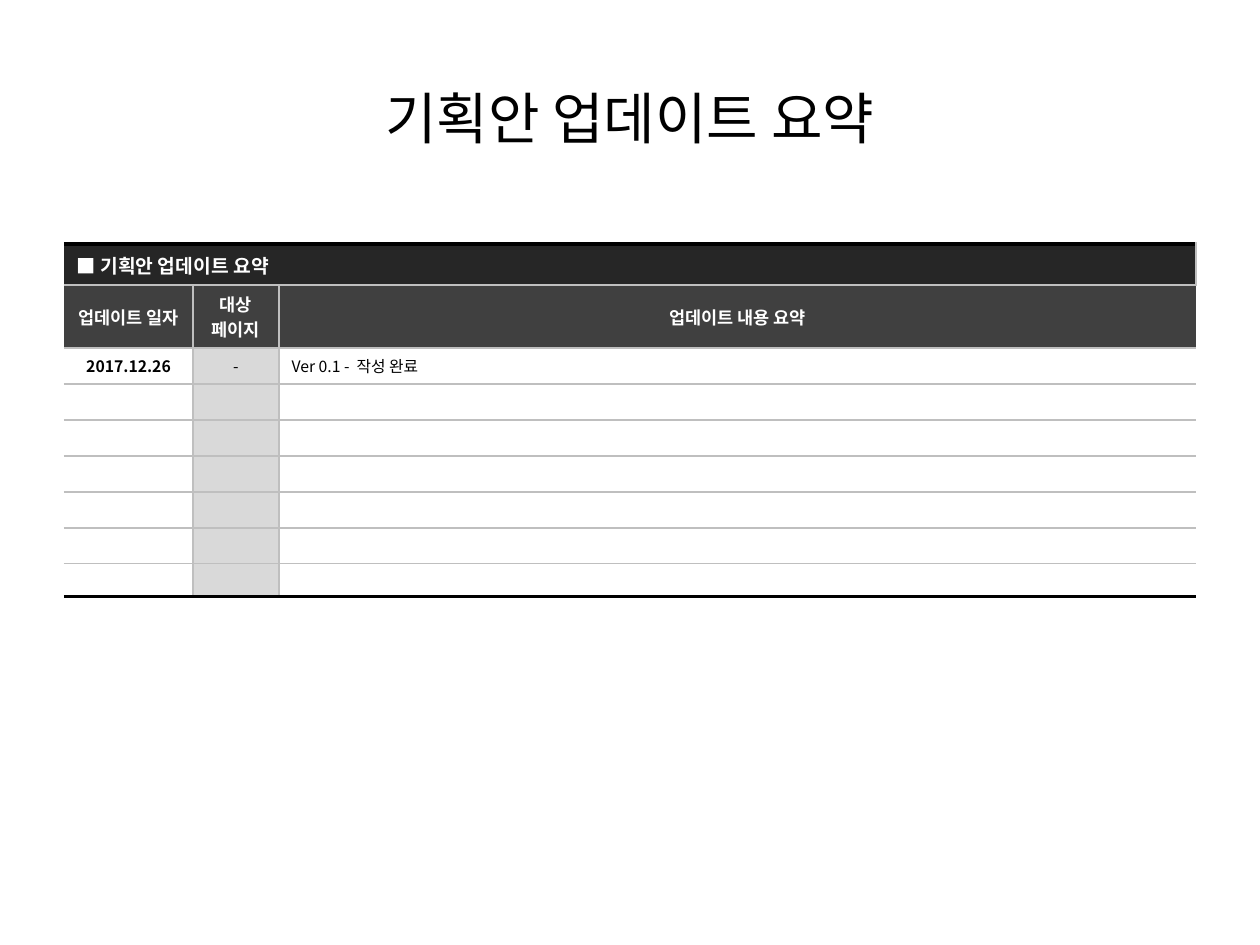
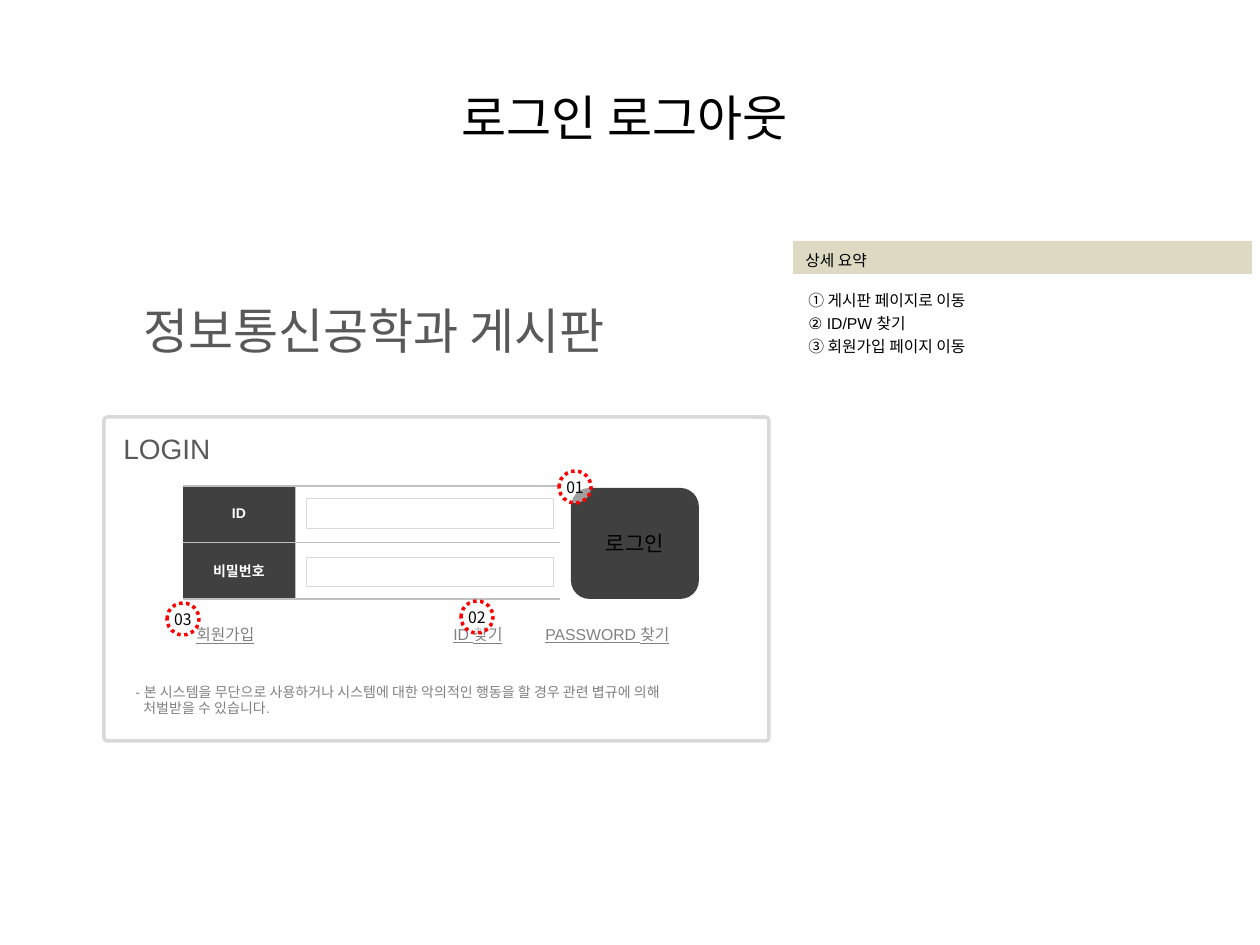
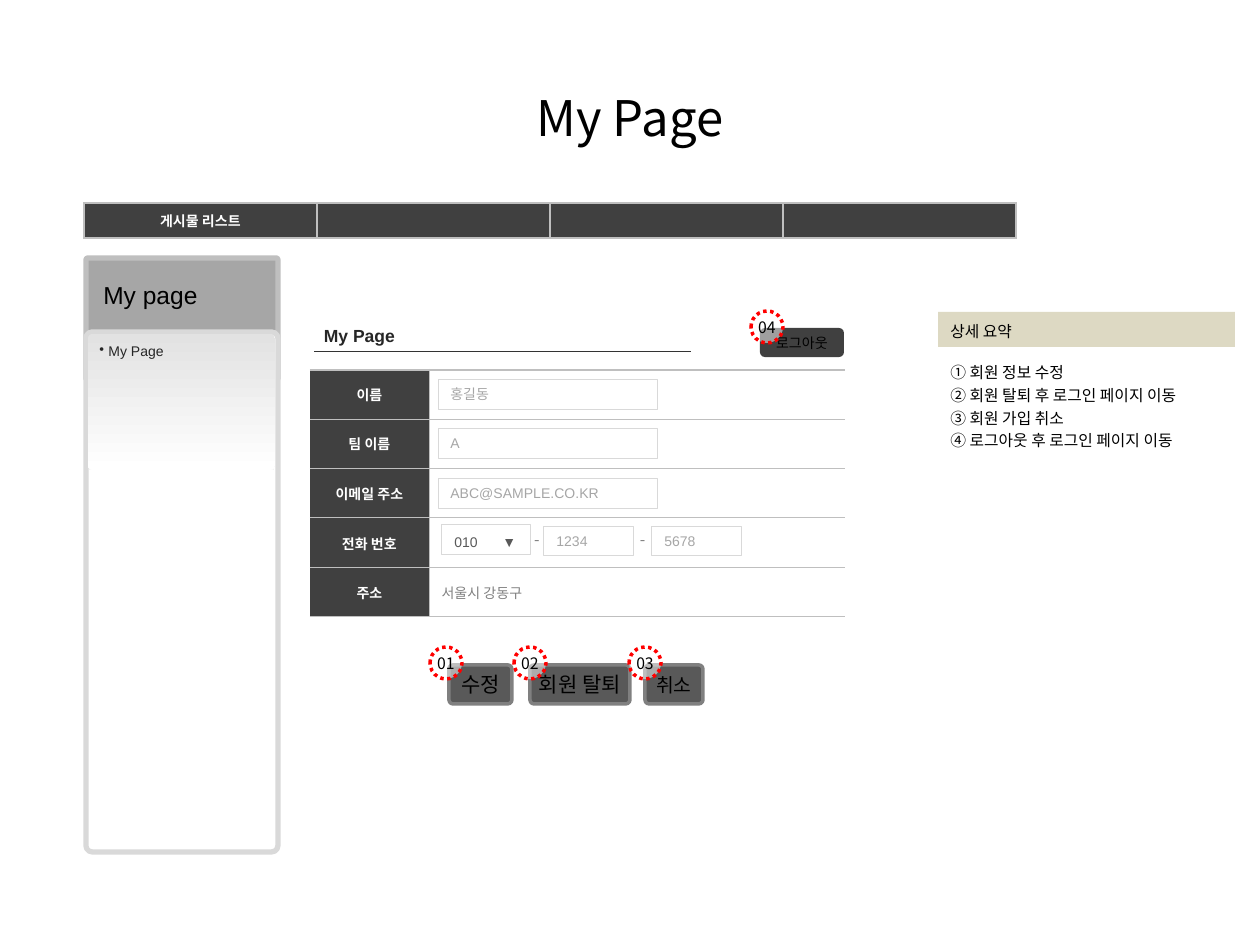
import dataclasses
import pptx
import pptx.util
import pptx.dml.color
import pptx.enum.dml
import pptx.enum.shapes
import pptx.enum.text
import pptx.oxml.ns
from lxml import etree


@dataclasses.dataclass(frozen=True)
class Theme:
    sans: str = "Arial"
    hangul: str = "Noto Sans CJK KR"
    black: str = "000000"
    white: str = "FFFFFF"
    ink: str = "262626"
    dark: str = "404040"
    slate: str = "595959"
    mid: str = "808080"
    hint: str = "A6A6A6"
    rule: str = "BFBFBF"
    pale: str = "D9D9D9"
    fade: str = "E2E2E2"
    sand: str = "DDD9C3"
    red: str = "FF0000"
    cover: int = 32
    title: int = 28
    lead: int = 16
    sub: int = 14
    button: int = 12
    band: int = 11
    head: int = 10
    body: int = 9
    small: int = 8


T = Theme()
PX = 914400 // 126
Pt = pptx.util.Pt
RGB = pptx.dml.color.RGBColor.from_string
qn = pptx.oxml.ns.qn
ALIGN = pptx.enum.text.PP_ALIGN
ANCHOR = pptx.enum.text.MSO_ANCHOR
RECT = pptx.enum.shapes.MSO_SHAPE.RECTANGLE
ROUND = pptx.enum.shapes.MSO_SHAPE.ROUNDED_RECTANGLE
OVAL = pptx.enum.shapes.MSO_SHAPE.OVAL


def write(frame, text, size=T.body, color=T.black, font=T.sans, bold=False,
          center=False, space=None):
    frame.text = text
    for para in frame.paragraphs:
        para.alignment = ALIGN.CENTER if center else ALIGN.LEFT
        para.line_spacing = space
        para.font.size = Pt(size)
        para.font.name = font
        para.font.bold = bold
        para.font.color.rgb = RGB(color)
        if not text:
            para._p.get_or_add_endParaRPr().set("sz", str(size * 100))


def put(slide, kind, box, text="", fill=None, line=None, adj=None,
        middle=False, wrap=True, **style):
    place = [n * PX for n in box]
    if kind is None:
        shape = slide.shapes.add_textbox(*place)
    else:
        shape = slide.shapes.add_shape(kind, *place)
        shape.shadow.inherit = False
        shape.fill.solid()
        shape.fill.fore_color.rgb = RGB(fill)
        if line:
            shape.line.color.rgb = RGB(line[0])
            shape.line.width = Pt(line[1])
        else:
            shape.line.fill.background()
        if adj is not None:
            shape.adjustments[0] = adj
    frame = shape.text_frame
    frame.word_wrap = wrap
    frame.vertical_anchor = ANCHOR.MIDDLE if middle else ANCHOR.TOP
    if text:
        write(frame, text, **style)
    return shape


deck = pptx.Presentation()
deck.slide_width = 1260 * PX
deck.slide_height = 945 * PX

slides = []
for name, size in [("기획안 업데이트 요약", T.cover), ("로그인 로그아웃 ", T.title),
                   ("My Page", T.title)]:
    slide = deck.slides.add_slide(deck.slide_layouts[6])
    put(slide, None, (63, 38, 1134, 158), name, middle=True, size=size,
        font=T.hangul, center=True)
    slides.append(slide)
log, login, page = slides

put(login, ROUND, (104, 417, 665, 324), fill=T.white, line=(T.pale, 2), adj=0.011)

top = dict(size=T.band, color=T.white, font=T.hangul, bold=True)
head = dict(size=T.head, color=T.white, font=T.hangul, bold=True, center=True)
label = dict(size=T.small, color=T.white, bold=True, center=True)
menu = dict(label, font=T.hangul)
note = dict(font=T.hangul)
blank = ("", None, {})
thin, fine, thick, heavy = (T.rule, 0.5), (T.rule, 1), (T.rule, 1.5), (T.black, 2.25)

history = [
    [("■ 기획안 업데이트 요약", T.ink, top), ("", T.ink, {}), ("", T.ink, {})],
    [(text, T.dark, head) for text in ("업데이트 일자", "대상 페이지", "업데이트 내용 요약")],
    [("2017.12.26", None, dict(note, bold=True, center=True)),
     ("-", T.pale, dict(note, center=True)), ("Ver 0.1 -  작성 완료", None, note)],
] + [[blank, ("", T.pale, {}), blank]] * 6
access = [[(text, T.dark, label), ("", T.white, {})] for text in ("ID", "비밀번호")]
member = [[(text, T.dark, label), ("", T.white, {})]
          for text in ("이름", "팀 이름", "이메일 주소", "전화 번호")]
member.append([("주소", T.dark, label),
               ("서울시 강동구", T.white, dict(size=T.small, color=T.mid))])
caption = [[("My Page", None, dict(size=T.head, color=T.ink, bold=True))]]
tabs = [[(text, T.dark, menu) for text in ("게시물 리스트", "", "", "")]]

grids = [
    (log, 64, 244, [129, 86, 917], [41, 63] + [36] * 6 + [33], history,
     dict(t=heavy, b=heavy, h=fine, v=fine)),
    (login, 183, 486, [112, 265], [56, 57], access,
     dict(t=thick, b=thick, h=thin, v=thin)),
    (page, 310, 370, [119, 416], [49, 49, 50, 50, 49], member,
     dict(t=thick, b=thin, h=thin, v=thin)),
    (page, 314, 320, [377], [31], caption, dict(b=("333333", 0.5))),
    (page, 84, 203, [233] * 4, [35], tabs,
     dict(l=fine, t=fine, r=fine, b=fine, v=fine)),
]
for slide, x, y, cols, rows, cells, rules in grids:
    table = slide.shapes.add_table(len(rows), len(cols), x * PX, y * PX,
                                   sum(cols) * PX, sum(rows) * PX).table
    table.first_row = table.horz_banding = False
    for c, width in enumerate(cols):
        table.columns[c].width = width * PX
    for r, height in enumerate(rows):
        table.rows[r].height = height * PX
        for c, (text, fill, style) in enumerate(cells[r]):
            cell = table.cell(r, c)
            cell.vertical_anchor = ANCHOR.MIDDLE
            write(cell.text_frame, text, **style)
            if fill:
                cell.fill.solid()
                cell.fill.fore_color.rgb = RGB(fill)
            else:
                cell.fill.background()
            if cells is caption:
                cell.vertical_anchor = ANCHOR.BOTTOM
                cell.margin_left = cell.margin_right = 10 * PX
                cell.margin_top = cell.margin_bottom = 5 * PX
            edges = [("L", "v" if c else "l"),
                     ("R", "v" if c < len(cols) - 1 else "r"),
                     ("T", "h" if r else "t"),
                     ("B", "h" if r < len(rows) - 1 else "b")]
            for n, (side, key) in enumerate(edges):
                edge = etree.Element(qn("a:ln" + side))
                if key in rules:
                    color, width = rules[key]
                    edge.set("w", str(Pt(width)))
                    paint = etree.SubElement(edge, qn("a:solidFill"))
                    etree.SubElement(paint, qn("a:srgbClr"), val=color)
                else:
                    etree.SubElement(edge, qn("a:noFill"))
                cell._tc.get_or_add_tcPr().insert(n, edge)
    if cells is history:
        table.cell(0, 0).merge(table.cell(0, 2))

put(login, None, (111, 425, 113, 46), "LOGIN", wrap=False, size=T.lead, color=T.slate)
put(login, None, (131, 294, 538, 72), "정보통신공학과 게시판", wrap=False,
    size=T.title, color=T.slate)
put(login, ROUND, (571, 488, 128, 111), "로그인", fill=T.dark, middle=True,
    wrap=False, size=T.button, font=T.hangul, center=True)

warn = put(login, None, (123, 677, 620, 63),
           "- 본 시스템을 무단으로 사용하거나 시스템에 대한 악의적인 행동을 할 경우 관련 볍규에 의해\n처벌받을 수 있습니다.",
           size=T.small, color=T.mid)
warn.text_frame.paragraphs[1]._p.get_or_add_pPr().set("marL", str(8 * PX))

links = put(login, None, (184, 619, 515, 34), "회원가입", color=T.mid)
line = links.text_frame.paragraphs[0]
line.runs[0].font.underline = True
for text in ("ID 찾기", "PASSWORD 찾기"):
    line.add_run().text = "\t"
    run = line.add_run()
    run.text = text
    run.font.underline = True

for x, y, w in [(306, 498, 248), (306, 557, 248), (441, 524, 90)]:
    put(page if w == 90 else login, RECT, (x, y, w, 30), fill=T.white,
        line=(T.pale, 0.5))
for x, y, w, text in [(438, 379, 220, "홍길동"), (438, 428, 220, "A"),
                      (438, 478, 220, "ABC@SAMPLE.CO.KR"),
                      (544, 526, 90, "1234"), (652, 526, 90, "5678")]:
    put(page, RECT, (x, y, w, 30), text, fill=T.white, line=(T.pale, 0.5),
        middle=True, size=T.small, color=T.hint)
for x in (534, 640):
    dash = put(page, None, (x, 530, 6, 19), "-", wrap=False, color=T.mid,
               font=T.hangul).text_frame
    dash.margin_left = dash.margin_right = dash.margin_top = dash.margin_bottom = 0
phone = put(page, None, (442, 527, 95, 30), "010\t▼", size=T.small, color=T.slate)

for shape, stops in [(links, (257, 349)), (phone, (48,))]:
    props = shape.text_frame.paragraphs[0]._p.get_or_add_pPr()
    list_ = etree.Element(qn("a:tabLst"))
    for stop in stops:
        etree.SubElement(list_, qn("a:tab"), pos=str(stop * PX), algn="l")
    default = props.find(qn("a:defRPr"))
    default.addprevious(list_)

for x, w, text, size in [(449, 63, "수정", T.button), (530, 100, "회원 탈퇴", T.button),
                         (645, 58, "취소", T.band)]:
    put(page, ROUND, (x, 665, w, 39), text, fill=T.slate, line=(T.mid, 2), adj=0.106,
        middle=True, wrap=False, size=size, center=True)
put(page, ROUND, (760, 328, 84, 29), "로그아웃", fill=T.dark, middle=True,
    wrap=False, size=T.small, font=T.hangul, center=True)

put(page, ROUND, (86, 258, 192, 122), fill=T.hint, line=(T.rule, 3), adj=0.014)
put(page, ROUND, (86, 332, 192, 520), fill=T.white, line=(T.pale, 3), adj=0.033)
glow = put(page, ROUND, (88, 334, 187, 136), fill=T.white, adj=0.033)
glow.fill.gradient()
glow.fill.gradient_angle = 270
for stop, color in zip(glow.fill.gradient_stops, (T.fade, T.white)):
    stop.color.rgb = RGB(color)
put(page, None, (91, 265, 125, 47), "My page", wrap=False, size=T.sub, space=1.3)
item = put(page, None, (87, 330, 192, 37), "My Page", size=T.small, color=T.ink,
           space=1.4)
props = item.text_frame.paragraphs[0]._p.get_or_add_pPr()
props.set("marL", str(9 * PX))
props.set("indent", str(-9 * PX))
dot = etree.Element(qn("a:buChar"), char="•")
props.find(qn("a:defRPr")).addprevious(dot)

for slide, x, y, w, h, left, lower, text in [
        (login, 793, 241, 459, 33, 796, 281,
         "① 게시판 페이지로 이동\n② ID/PW 찾기\n③ 회원가입 페이지 이동"),
        (page, 938, 312, 297, 35, 938, 353,
         "① 회원 정보 수정\n② 회원 탈퇴 후 로그인 페이지 이동\n"
         "③ 회원 가입 취소\n④ 로그아웃 후 로그인 페이지 이동")]:
    put(slide, RECT, (x, y, w, h), "상세 요약", fill=T.sand, space=1.2)
    put(slide, None, (left, lower, w, 150), text, space=1.2)

for slide, spots in [(login, [(559, 471), (461, 601), (167, 603)]),
                     (page, [(430, 647), (514, 647), (629, 647), (751, 311)])]:
    for n, (x, y) in enumerate(spots, 1):
        mark = put(slide, OVAL, (x, y, 32, 32), f"{n:02}", fill=T.white,
                   line=(T.red, 2), middle=True, wrap=False, font=T.hangul,
                   center=True)
        mark.line.dash_style = pptx.enum.dml.MSO_LINE.ROUND_DOT
        tint = mark._element.spPr.find(qn("a:solidFill"))[0]
        etree.SubElement(tint, qn("a:alpha"), val="50000")

deck.save("out.pptx")
